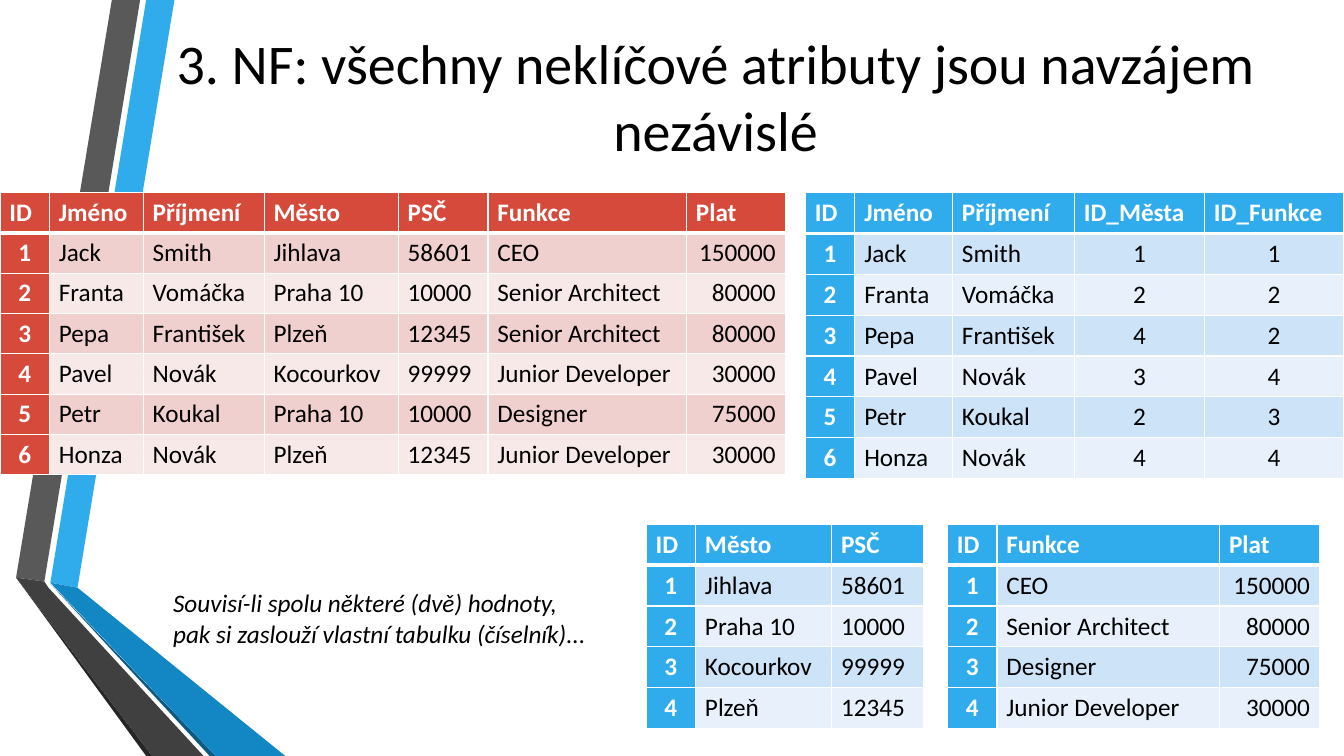
import dataclasses

import lxml.etree
import pptx
import pptx.dml.color
import pptx.enum.text
import pptx.oxml.ns
import pptx.util

Pt = pptx.util.Pt
PP_ALIGN = pptx.enum.text.PP_ALIGN
MIDDLE = pptx.enum.text.MSO_ANCHOR.MIDDLE


@dataclasses.dataclass(frozen=True)
class Theme:
    font: str = "Calibri"
    title_size: int = 40
    body_size: int = 18
    text: str = "000000"
    light: str = "FFFFFF"
    # Table palettes: header, odd rows, even rows
    red: tuple = ("D64A3B", "F0D0CE", "F7E9E8")
    blue: tuple = ("30ACEC", "CDE3F8", "E8F1FB")


THEME = Theme()
ALIGN = {"l": PP_ALIGN.LEFT, "c": PP_ALIGN.CENTER, "r": PP_ALIGN.RIGHT}
ROW_HEIGHT = 28.8

# Folded ribbon in the left margin: colour and outline
RIBBON = [
    ("30ACEC", [(36, 416.2), (55.4, 419.8), (124.6, 0), (104.4, 0)]),
    ("595959", [(100.1, 0), (79.9, 0), (11.5, 412.6), (31.7, 415.4)]),
    ("262626", [(11.5, 412.6), (104.4, 540), (108.7, 540)]),
    ("0C5A82", [(36, 416.9), (149.8, 540), (154.1, 540)]),
    ("1287C3", [(36, 416.2), (154.1, 540), (203.8, 540), (55.4, 419.8)]),
    ("404040", [(145.4, 540), (34.6, 419.8), (31.7, 415.4), (11.5, 412.6),
                (108.7, 540)]),
]

# Lookup tables, and people with their city and job numbers
CITIES = {1: ("Jihlava", 58601), 2: ("Praha 10", 10000),
          3: ("Kocourkov", 99999), 4: ("Plzeň", 12345)}
JOBS = {1: ("CEO", 150000), 2: ("Senior Architect", 80000),
        3: ("Designer", 75000), 4: ("Junior Developer", 30000)}
PEOPLE = [
    (1, "Jack", "Smith", 1, 1),
    (2, "Franta", "Vomáčka", 2, 2),
    (3, "Pepa", "František", 4, 2),
    (4, "Pavel", "Novák", 3, 4),
    (5, "Petr", "Koukal", 2, 3),
    (6, "Honza", "Novák", 4, 4),
]


def rgb(value):
    return pptx.dml.color.RGBColor.from_string(value)


def set_text(tf, text, size, color=THEME.text, align="l", bold=False, italic=False):
    tf.text = text
    p = tf.paragraphs[0]
    p.alignment = ALIGN[align]
    font = p.runs[0].font
    font.name, font.size = THEME.font, Pt(size)
    font.bold, font.italic = bold, italic
    font.color.rgb = rgb(color)


def add_facet(slide, color, points):
    corners = [(Pt(x), Pt(y)) for x, y in points]
    builder = slide.shapes.build_freeform(*corners[0])
    builder.add_line_segments(corners[1:], close=True)
    sp = builder.convert_to_shape()
    sp.shadow.inherit = False
    sp.fill.solid()
    sp.fill.fore_color.rgb = rgb(color)
    sp.line.fill.background()


def set_borders(cell, top, bottom):
    tc_pr = cell._tc.get_or_add_tcPr()
    qn = pptx.oxml.ns.qn
    for side, width in (("L", 1), ("R", 1), ("T", top), ("B", bottom)):
        ln = lxml.etree.SubElement(tc_pr, qn(f"a:ln{side}"), w=str(Pt(width)))
        fill = lxml.etree.SubElement(ln, qn("a:solidFill"))
        lxml.etree.SubElement(fill, qn("a:srgbClr"), val=THEME.light)


def add_data_table(slide, left, top, widths, aligns, palette, header, records,
                   v_margin=3.6):
    rows = [header, *records]
    table = slide.shapes.add_table(
        len(rows), len(widths), Pt(left), Pt(top),
        Pt(sum(widths)), Pt(ROW_HEIGHT * len(rows))).table
    table.horz_banding = False
    for column, width in zip(table.columns, widths):
        column.width = Pt(width)
    for i, values in enumerate(rows):
        table.rows[i].height = Pt(ROW_HEIGHT)
        for j, value in enumerate(values):
            cell = table.cell(i, j)
            strong = i == 0 or j == 0
            cell.vertical_anchor = MIDDLE
            cell.margin_left = cell.margin_right = Pt(6.8)
            cell.margin_top = cell.margin_bottom = Pt(v_margin)
            # The rule under the header is thicker
            set_borders(cell, 3 if i == 1 else 1, 3 if i == 0 else 1)
            cell.fill.solid()
            cell.fill.fore_color.rgb = rgb(palette[0 if strong else 2 - i % 2])
            set_text(cell.text_frame, str(value), THEME.body_size,
                     THEME.light if strong else THEME.text,
                     "l" if i == 0 else aligns[j], bold=strong)


def place_title(slide, text):
    sp = slide.shapes.title
    sp.left, sp.top, sp.width, sp.height = Pt(116.6), Pt(-0.7), Pt(789.1), Pt(138.2)
    tf = sp.text_frame
    tf.auto_size = pptx.enum.text.MSO_AUTO_SIZE.NONE
    tf.vertical_anchor = MIDDLE
    set_text(tf, text, THEME.title_size, align="c")
    # Bring the title in front of the ribbon
    slide.shapes._spTree.append(sp._element)


def add_note(slide, text):
    tf = slide.shapes.add_textbox(Pt(116.6), Pt(416.2), Pt(309.6), Pt(51)).text_frame
    tf.word_wrap = True
    set_text(tf, text, THEME.body_size, italic=True)


def main():
    prs = pptx.Presentation()
    prs.slide_width, prs.slide_height = Pt(960), Pt(540)
    slide = prs.slides.add_slide(prs.slide_layouts[5])

    # Ribbon and title
    for color, points in RIBBON:
        add_facet(slide, color, points)
    place_title(slide, "3. NF: všechny neklíčové atributy jsou navzájem nezávislé")

    # Everything in one table
    add_data_table(
        slide, 0, 137.5, [35.3, 67, 86.4, 95.8, 64.1, 141.8, 70.6], "clllllr",
        THEME.red, ["ID", "Jméno", "Příjmení", "Město", "PSČ", "Funkce", "Plat"],
        [(*person, *CITIES[city], *JOBS[job]) for *person, city, job in PEOPLE],
        v_margin=2.9)

    # People and the two lookup tables
    add_data_table(
        slide, 575.3, 137.5, [35.3, 69.8, 87.1, 92.9, 99.4], "cllcc",
        THEME.blue, ["ID", "Jméno", "Příjmení", "ID_Města", "ID_Funkce"], PEOPLE)
    add_data_table(
        slide, 461.5, 374.4, [35.3, 97.2, 65.5], "cll",
        THEME.blue, ["ID", "Město", "PSČ"],
        [(key, *city) for key, city in CITIES.items()])
    add_data_table(
        slide, 676.8, 374.4, [35.3, 159.1, 71.3], "clr",
        THEME.blue, ["ID", "Funkce", "Plat"],
        [(key, *job) for key, job in JOBS.items()])

    add_note(slide, "Souvisí-li spolu některé (dvě) hodnoty, "
                    "pak si zaslouží vlastní tabulku (číselník)...")
    prs.save("out.pptx")


if __name__ == "__main__":
    main()
